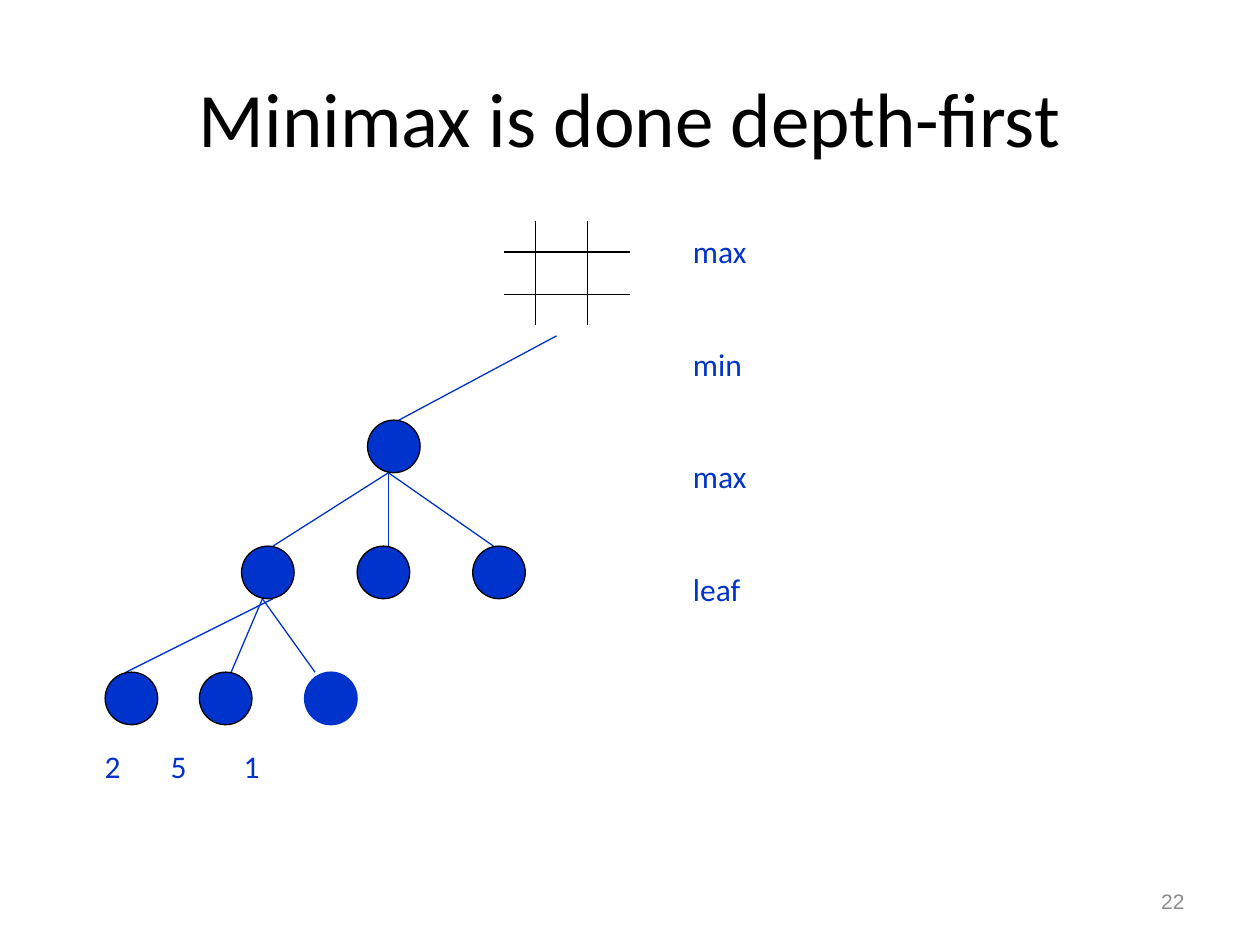
"""Build a slide showing a depth-first minimax search tree."""
from dataclasses import dataclass

from lxml.etree import SubElement
from pptx import Presentation
from pptx.dml.color import RGBColor
from pptx.enum.shapes import MSO_CONNECTOR as Connector, MSO_SHAPE as Shape
from pptx.enum.text import MSO_ANCHOR as Anchor, PP_ALIGN as Align
from pptx.oxml.ns import qn
from pptx.util import Cm, Pt

BLACK = RGBColor(0x00, 0x00, 0x00)
BLUE = RGBColor(0x00, 0x33, 0xCC)
GRAY = RGBColor(0x8C, 0x8C, 0x8C)
LINE_WIDTH = Pt(0.75)
NODE_SIZE = 1.06
LEVEL_TOPS = [8.47 + 2.54 * level for level in range(3)]
LEVEL_BOTTOMS = [top + NODE_SIZE for top in LEVEL_TOPS]


@dataclass(frozen=True)
class Node:
    """A tree node; left edge in centimetres."""
    left: float
    level: int
    outline: RGBColor = BLACK


@dataclass(frozen=True)
class Line:
    """A straight line between two points in centimetres."""
    x1: float
    y1: float
    x2: float
    y2: float
    color: RGBColor = BLUE


BOARD = [Line(x, 4.45, x, 6.56, BLACK) for x in (10.8, 11.85)]
BOARD += [Line(10.16, y, 12.7, y, BLACK) for y in (5.08, 5.93)]

EDGES = [Line(11.22, 6.77, 8.04, LEVEL_TOPS[0])]
EDGES += [Line(7.83, LEVEL_BOTTOMS[0], x, LEVEL_TOPS[1]) for x in (5.5, 7.83, 9.95)]
EDGES += [Line(start, LEVEL_BOTTOMS[1], end, LEVEL_TOPS[2])
          for start, end in ((5.5, 2.54), (5.29, 4.66), (5.29, 6.35))]

NODES = [Node(7.41, 0)]
NODES += [Node(4.87 + 2.33 * column, 1) for column in range(3)]
NODES += [Node(2.12, 2), Node(4.02, 2), Node(6.14, 2, BLUE)]


def draw_line(slide, line: Line) -> None:
    """Draw a straight connector without a shadow."""
    connector = slide.shapes.add_connector(
        Connector.STRAIGHT, Cm(line.x1), Cm(line.y1), Cm(line.x2), Cm(line.y2))
    connector.line.color.rgb = line.color
    connector.line.width = LINE_WIDTH
    SubElement(connector._element.spPr, qn("a:effectLst"))


def draw_node(slide, node: Node) -> None:
    """Draw a filled circle on its tree level."""
    shape = slide.shapes.add_shape(
        Shape.OVAL, Cm(node.left), Cm(LEVEL_TOPS[node.level]), Cm(NODE_SIZE), Cm(NODE_SIZE))
    shape.shadow.inherit = False
    shape.fill.solid()
    shape.fill.fore_color.rgb = BLUE
    shape.line.color.rgb = node.outline
    shape.line.width = LINE_WIDTH


def write_text(shape, text: str, *, box: tuple[float, float, float, float],
               size: float = 18, color: RGBColor = BLUE, font: str = "Calibri",
               align: Align = Align.LEFT, anchor: Anchor = Anchor.TOP,
               gap: float = 0, tabs: tuple[float, ...] = ()) -> None:
    """Place a shape and write formatted paragraphs into it."""
    shape.left, shape.top, shape.width, shape.height = map(Cm, box)
    frame = shape.text_frame
    frame.text = text
    frame.word_wrap = True
    frame.vertical_anchor = anchor
    for paragraph in frame.paragraphs:
        paragraph.alignment = align
        paragraph.space_after = Pt(gap)
        for run in paragraph.runs:
            run.font.size = Pt(size)
            run.font.name = font
            run.font.color.rgb = color
        if tabs:
            tab_list = SubElement(paragraph._p.get_or_add_pPr(), qn("a:tabLst"))
            for position in tabs:
                SubElement(tab_list, qn("a:tab"), pos=str(Cm(position)), algn="l")


def add_text(slide, text: str, **style) -> None:
    """Add a text box with the given format."""
    write_text(slide.shapes.add_textbox(0, 0, 0, 0), text, **style)


def main() -> None:
    """Create and save the presentation."""
    presentation = Presentation()
    presentation.slide_width, presentation.slide_height = Cm(25.4), Cm(19.05)
    slide = presentation.slides.add_slide(presentation.slide_layouts[5])
    write_text(slide.shapes.title, "Minimax is done depth-first", box=(1.27, 0.76, 22.86, 3.18),
               size=44, color=BLACK, align=Align.CENTER, anchor=Anchor.MIDDLE)
    for line in BOARD + EDGES:
        draw_line(slide, line)
    for node in NODES:
        draw_node(slide, node)
    add_text(slide, "max\nmin\nmax\nleaf", box=(13.72, 4.55, 2.11, 10.39), gap=42.8)
    add_text(slide, "2\t5\t1", box=(1.86, 14.94, 5.44, 1.27), tabs=(1.33, 2.8))
    add_text(slide, "22", box=(18.21, 17.65, 5.92, 1.02), size=12, color=GRAY,
             font="Arial", align=Align.RIGHT, anchor=Anchor.MIDDLE)
    presentation.save("out.pptx")


main()
